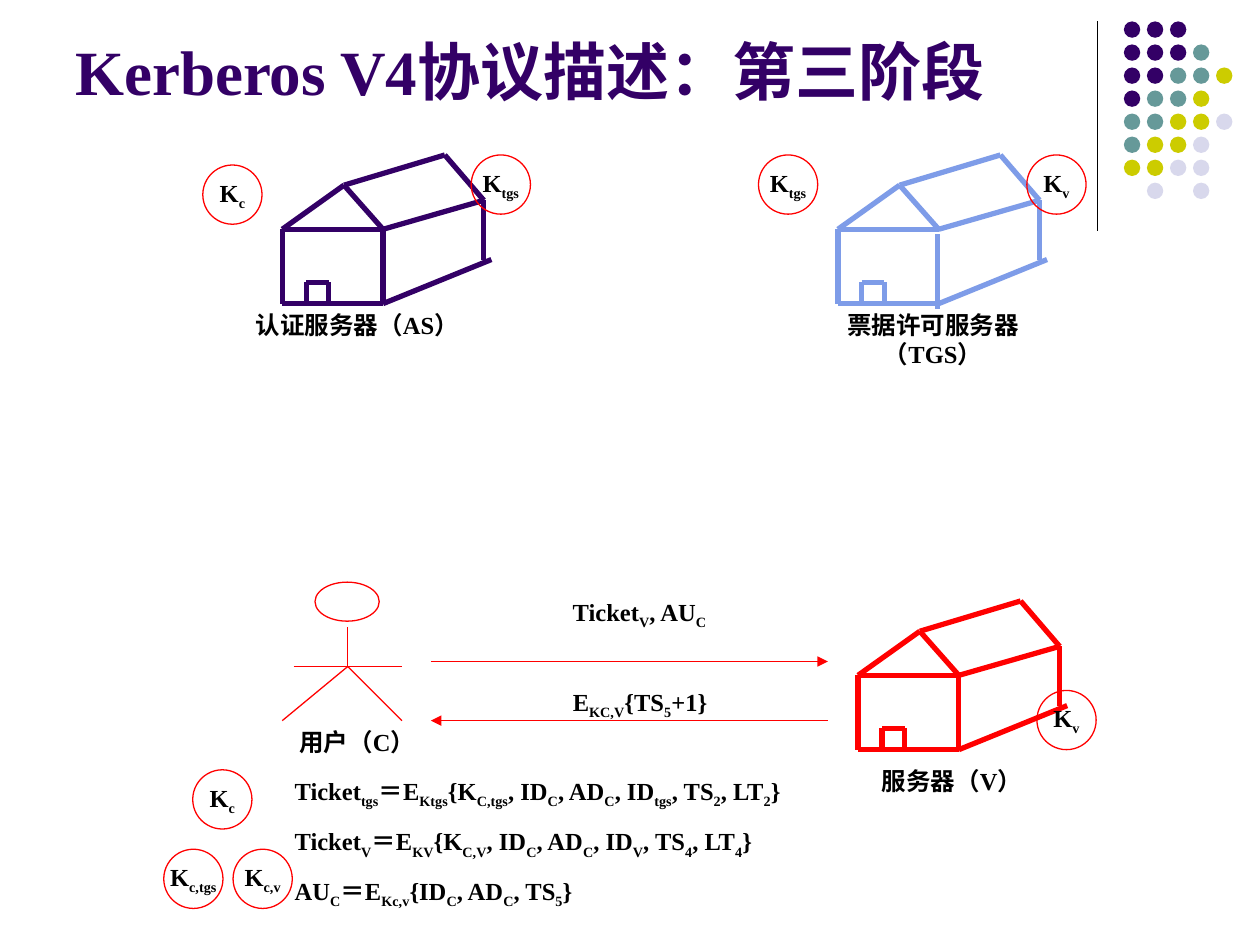
from lxml import etree
from pptx import Presentation
from pptx import util as u
from pptx.dml.color import RGBColor
from pptx.enum import shapes, text
from pptx.oxml.ns import qn

FONT = "Times New Roman"
PURPLE, BLUE, RED, BLACK = "330066", "7E9CE8", "FF0000", "000000"
DOT_COLORS = {"P": PURPLE, "T": "669999", "Y": "CCCC00", "L": "D8D8EC"}
DOT_ROWS = ["PPP", "PPPT", "PPTTY", "PTTY", "TTYYL", "TYYL", "YYLL", " L L"]

# Corners of a house, measured from its top left
RIDGE_FRONT, RIDGE_BACK = (0.49, 0.24), (1.29, 0)
EAVE_LEFT, EAVE_RIGHT, EAVE_BACK = (0, 0.59), (0.8, 0.59), (1.6, 0.36)
BASE_LEFT, BASE_RIGHT, BASE_BACK = (0, 1.18), (0.8, 1.18), (1.66, 0.83)
DOOR = [(0.19, 1.18), (0.19, 1.01), (0.37, 1.01), (0.37, 1.18)]
HOUSE_EDGES = [
    (RIDGE_FRONT, EAVE_LEFT), (RIDGE_FRONT, EAVE_RIGHT),
    (EAVE_LEFT, EAVE_RIGHT), (RIDGE_FRONT, RIDGE_BACK),
    (RIDGE_BACK, EAVE_BACK), (EAVE_RIGHT, EAVE_BACK),
    (EAVE_LEFT, BASE_LEFT), (BASE_LEFT, BASE_RIGHT),
    (BASE_RIGHT, BASE_BACK), (EAVE_BACK, (1.6, 0.83)),
    *zip(DOOR, DOOR[1:]),
]


def color(hex_string):
    return RGBColor.from_string(hex_string)


def add_line(slide, start, end, stroke, width=0.75, arrow=False):
    line = slide.shapes.add_connector(
        shapes.MSO_CONNECTOR.STRAIGHT, *map(u.Inches, (*start, *end)))
    line.line.color.rgb = color(stroke)
    line.line.width = u.Pt(width)
    properties = line.line._get_or_add_ln()
    if arrow:
        etree.SubElement(properties, qn("a:tailEnd"), type="triangle")
    etree.SubElement(properties.getparent(), qn("a:effectLst"))


def add_ellipse(slide, left, top, width, height, fill=None, stroke=None):
    ellipse = slide.shapes.add_shape(
        shapes.MSO_SHAPE.OVAL, *map(u.Inches, (left, top, width, height)))
    ellipse.shadow.inherit = False
    if fill:
        ellipse.fill.solid()
        ellipse.fill.fore_color.rgb = color(fill)
    else:
        ellipse.fill.background()
    if stroke:
        ellipse.line.color.rgb = color(stroke)
        ellipse.line.width = u.Pt(0.75)
    else:
        ellipse.line.fill.background()
    return ellipse


def write(frame, content, align, size=14, ink=BLACK):
    """Fill a frame; parts between ~ marks become subscripts."""
    paragraph = frame.paragraphs[0]
    paragraph.alignment = align
    font_values = {"name": FONT, "size": u.Pt(size), "bold": True}
    for index, part in enumerate(content.split("~")):
        if not part:
            continue
        run = paragraph.add_run()
        run.text = part
        for key, value in font_values.items():
            setattr(run.font, key, value)
        run.font.color.rgb = color(ink)
        if index % 2:
            run._r.get_or_add_rPr().set("baseline", "-25000")


def add_label(slide, content, left, top, width, height=0.37,
              align=text.PP_ALIGN.CENTER, **style):
    frame = slide.shapes.add_textbox(
        *map(u.Inches, (left, top, width, height))).text_frame
    frame.word_wrap = True
    write(frame, content, align, **style)
    return frame


def add_key(slide, subscript, left, top):
    frame = add_ellipse(slide, left, top, 0.47, 0.47, stroke=RED).text_frame
    frame.word_wrap = False
    frame.vertical_anchor = text.MSO_ANCHOR.MIDDLE
    write(frame, f"K~{subscript}~", text.PP_ALIGN.CENTER)


def add_house(slide, left, top, stroke, post_shift=(0, 0)):
    post = [(x + post_shift[0], y + post_shift[1])
            for x, y in (EAVE_RIGHT, BASE_RIGHT)]
    for edge in HOUSE_EDGES + [post]:
        start, end = [(left + x, top + y) for x, y in edge]
        add_line(slide, start, end, stroke, width=3)


def add_user(slide):
    add_ellipse(slide, 2.5, 4.62, 0.51, 0.31, stroke=RED)
    shoulder = (2.76, 5.29)
    for end in [(2.76, 4.98), (2.24, 5.72), (3.19, 5.72)]:
        add_line(slide, shoulder, end, RED)
    add_line(slide, (2.33, 5.29), (3.19, 5.29), RED)


def add_corner_dots(slide):
    add_line(slide, (8.71, 0.17), (8.71, 1.83), BLACK)
    for row, letters in enumerate(DOT_ROWS):
        for column, letter in enumerate(letters):
            if letter in DOT_COLORS:
                add_ellipse(slide, 8.92 + column * 1.28 / 7,
                            0.17 + row * 1.28 / 7, 0.13, 0.13,
                            fill=DOT_COLORS[letter])


def main():
    deck = Presentation()
    deck.slide_width, deck.slide_height = u.Inches(10), u.Inches(7.5)
    slide = deck.slides.add_slide(deck.slide_layouts[6])

    # Corner decoration and title
    add_corner_dots(slide)
    title = add_label(slide, "Kerberos V4协议描述：第三阶段", 0.5, 0.13, 8.25,
                      0.78, align=text.PP_ALIGN.LEFT, size=36, ink=PURPLE)
    title.vertical_anchor = text.MSO_ANCHOR.BOTTOM

    # Servers and user
    add_house(slide, 6.65, 1.23, BLUE, post_shift=(-0.01, 0.04))
    add_house(slide, 6.81, 4.77, RED)
    add_user(slide)
    add_house(slide, 2.24, 1.23, PURPLE)
    for name, left, top, height in [
            ("票据许可服务器（TGS）", 6.42, 2.41, 0.57),
            ("服务器（V）", 6.57, 6.03, 0.34),
            ("认证服务器（AS）", 1.85, 2.41, 0.34),
            ("用户（C）", 1.85, 5.72, 0.34)]:
        add_label(slide, name, left, top, 1.97, height)

    # Messages between user and server
    add_line(slide, (3.42, 5.25), (6.57, 5.25), RED, arrow=True)
    add_label(slide, "Ticket~V~, AU~C~", 3.58, 4.69, 2.99)
    add_line(slide, (6.57, 5.72), (3.42, 5.72), RED, arrow=True)
    add_label(slide, "E~KC,V~{TS~5~+1}", 3.66, 5.4, 2.84)

    # Ticket and authenticator formulas
    for formula, top in [
            ("Ticket~tgs~＝E~Ktgs~{K~C,tgs~, ID~C~, AD~C~, ID~tgs~, "
             "TS~2~, LT~2~}", 6.11),
            ("Ticket~V~＝E~KV~{K~C,V~, ID~C~, AD~C~, ID~V~, "
             "TS~4~, LT~4~}", 6.51),
            ("AU~C~＝E~Kc,v~{ID~C~, AD~C~, TS~5~}", 6.9)]:
        add_label(slide, formula, 2.24, top, 4.96, align=text.PP_ALIGN.LEFT)

    # Keys held by each party
    for subscript, left, top in [
            ("c", 1.53, 6.11), ("c", 1.61, 1.31), ("tgs", 6.02, 1.23),
            ("v", 8.23, 5.48), ("tgs", 3.74, 1.23), ("v", 8.15, 1.23),
            ("c,tgs", 1.3, 6.74), ("c,v", 1.85, 6.74)]:
        add_key(slide, subscript, left, top)

    deck.save("out.pptx")


if __name__ == "__main__":
    main()
